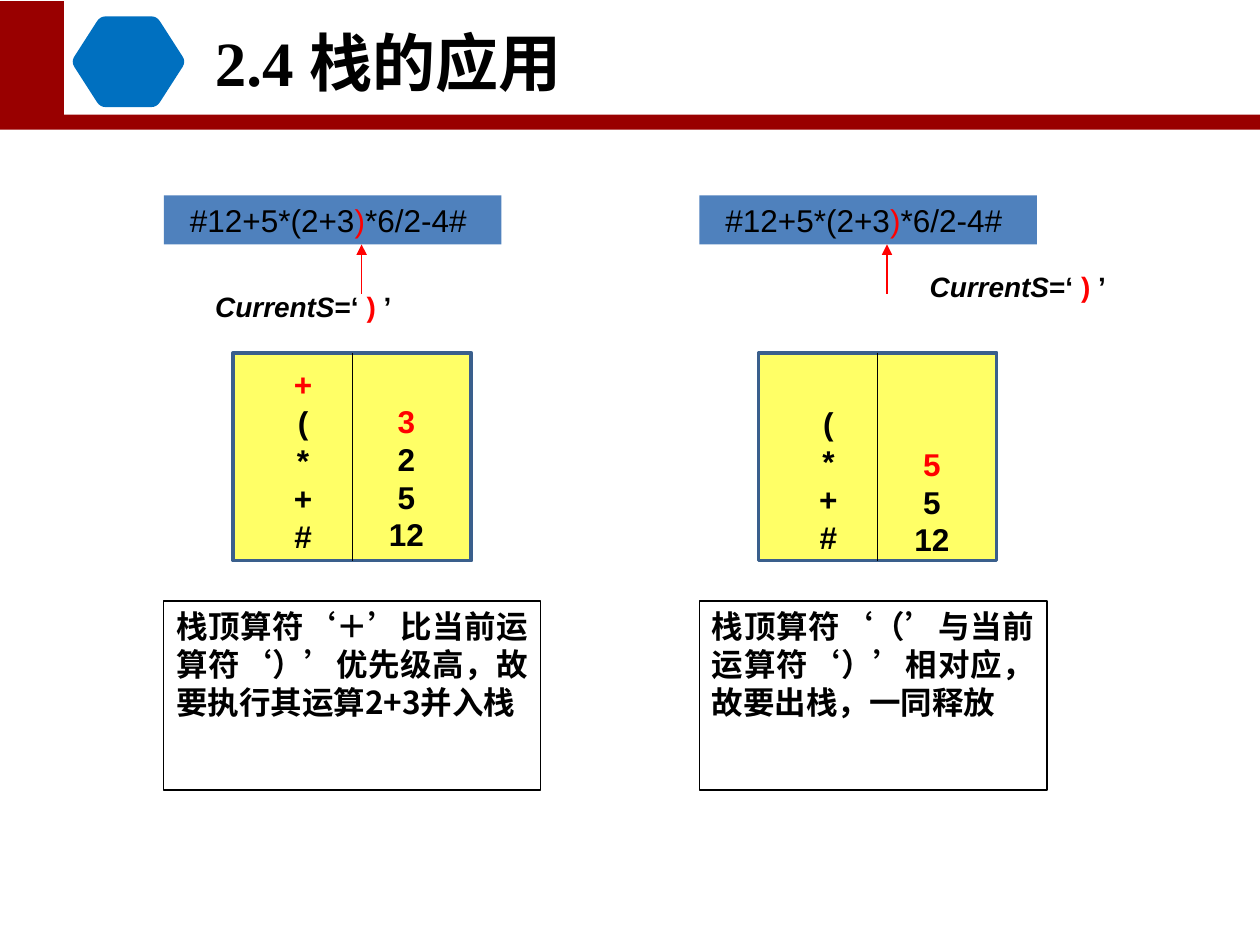
from lxml.etree import SubElement
from pptx import Presentation
from pptx.dml.color import RGBColor
from pptx.enum.shapes import MSO_CONNECTOR, MSO_SHAPE
from pptx.enum.text import MSO_ANCHOR as Anchor, MSO_AUTO_SIZE as AutoSize, PP_ALIGN as Align
from pptx.oxml.ns import qn
from pptx.util import Inches, Pt

COLORS = {"band": "990000", "white": "FFFFFF", "hexagon": "0070C0", "input": "4F81BD",
          "stack": "FFFF66", "frame": "3A5F8C", "ink": "000000", "mark": "FF0000"}
CJK, SERIF, SANS = "Noto Sans CJK SC", "Cambria", "Arial"

# Content: runs are (text, format) pairs
TITLE = [("2.4 ", {"font": "Times New Roman"}), ("栈的应用", {"font": CJK})]
EXPRESSION = [("#12+5*(2+3", {}), (")", {"color": "mark"}), ("*6/2-4# ", {})]
CURRENT = [("CurrentS", {"italic": True}), ("=‘ ", {}), (") ", {"color": "mark"}), ("’", {})]
PANELS = [
    {"left": 1.3, "stack_left": 1.85, "label_at": (1.61, 2.25), "note_width": 2.99,
     "operators": "+ ( * + #", "operators_bottom": 4.45, "marked_operators": 1,
     "operands": "3 2 5 12", "operands_bottom": 4.44,
     "note": [("栈顶算符", {"font": CJK}), ("‘", {"font": SERIF}), ("＋", {"font": CJK}),
              ("’", {"font": SERIF}), ("比当前运算符", {"font": CJK}), ("‘", {"font": SERIF}),
              ("）", {"font": CJK}), ("’", {"font": SERIF}),
              ("优先级高，故要执行其运算2+3并入栈", {"font": CJK})]},
    {"left": 5.55, "stack_left": 6.02, "label_at": (7.28, 2.09), "note_width": 2.76,
     "operators": "( * + #", "operators_bottom": 4.46, "marked_operators": 0,
     "operands": "5 5 12", "operands_bottom": 4.48,
     "note": [("栈顶算符‘（’与当前运算符‘）’相对应，故要出栈，一同释放", {"font": SERIF})]},
]
STACK_TOP, STACK_WIDTH, STACK_HEIGHT = 2.8, 1.89, 1.65
LINE_HEIGHT = 0.3

prs = Presentation()
prs.slide_width, prs.slide_height = Inches(10), Inches(7.5)
slide = prs.slides.add_slide(prs.slide_layouts[5])
shapes = slide.shapes


def rgb(name):
    return RGBColor.from_string(COLORS[name])


def paint(shape, fill, line=None, width=0.75):
    shape.shadow.inherit = False
    shape.fill.solid()
    shape.fill.fore_color.rgb = rgb(fill)
    if line:
        shape.line.color.rgb = rgb(line)
        shape.line.width = Pt(width)
    else:
        shape.line.fill.background()
    return shape


def add_box(left, top, width, height, *look):
    box = shapes.add_shape(MSO_SHAPE.RECTANGLE, *map(Inches, (left, top, width, height)))
    return paint(box, *look)


def add_line(x, start, end, color):
    line = shapes.add_connector(MSO_CONNECTOR.STRAIGHT, *map(Inches, (x, start, x, end)))
    line.line.color.rgb = rgb(color)
    line.line.width = Pt(0.75)
    SubElement(line._element.spPr, qn("a:effectLst"))
    return line


def write(paragraph, runs, size, align, bold=True):
    paragraph.alignment = align
    paragraph.font.size, paragraph.font.bold = Pt(size), bold
    for text, style in runs:
        run = paragraph.add_run()
        run.text = text
        run.font.name = style.get("font", SANS)
        run.font.color.rgb = rgb(style.get("color", "ink"))
        run.font.italic = style.get("italic")
        SubElement(run._r.get_or_add_rPr(), qn("a:ea")).set("typeface", CJK)


def set_frame(shape, anchor, wrap):
    frame = shape.text_frame
    frame.vertical_anchor, frame.word_wrap = anchor, wrap
    return frame


def add_column(left, width, bottom, items, marked):
    """Stack contents, one item a line, resting on the bottom edge."""
    height = LINE_HEIGHT * len(items) + 0.1
    column = shapes.add_textbox(*map(Inches, (left, bottom - height, width, height)))
    frame = set_frame(column, Anchor.BOTTOM, False)
    frame.margin_left = frame.margin_right = 0
    for i, item in enumerate(items):
        paragraph = frame.paragraphs[0] if i == 0 else frame.add_paragraph()
        write(paragraph, [(item, {"color": "mark" if i < marked else "ink"})], 18, Align.CENTER)


def add_hexagon(center_x, center_y):
    """Hexagon with rounded corners: each corner is (start, control, end)."""
    right = [((0.18, -0.36), (0.225, -0.36), (0.25, -0.32)),
             ((0.43, -0.04), (0.455, 0), (0.43, 0.04)),
             ((0.25, 0.32), (0.225, 0.36), (0.18, 0.36))]
    left = [tuple((-x, -y) for x, y in corner) for corner in right]
    points = []
    for start, control, end in right + left:
        for t in (0, 0.25, 0.5, 0.75, 1):
            x, y = ((1 - t) ** 2 * a + 2 * t * (1 - t) * b + t * t * c
                    for a, b, c in zip(start, control, end))
            points.append((Inches(center_x + x), Inches(center_y + y)))
    builder = shapes.build_freeform(*points[0])
    builder.add_line_segments(points[1:], close=True)
    paint(builder.convert_to_shape(), "hexagon")


# Header
add_box(0, 0.01, 10, 1.02, "band")
add_box(0.51, 0, 9.49, 0.91, "white")
add_hexagon(1.02, 0.49)
title = shapes.title
title.left, title.top, title.width, title.height = map(Inches, (-0.5, 0.13, 7.16, 0.71))
title_frame = set_frame(title, Anchor.MIDDLE, True)
title_frame.auto_size = AutoSize.NONE
write(title_frame.paragraphs[0], TITLE, 36, Align.CENTER)
title._element.getparent().append(title._element)  # above the header band

for panel in PANELS:
    left, stack_left = panel["left"], panel["stack_left"]

    # Expression with the arrow to its current symbol
    expression = add_box(left, 1.55, 2.68, 0.39, "input")
    write(set_frame(expression, Anchor.MIDDLE, False).paragraphs[0],
          EXPRESSION, 18, Align.CENTER, bold=False)
    arrow = add_line(stack_left + 1.02, 2.33, 1.94, "mark")
    SubElement(arrow._element.spPr.find(qn("a:ln")), qn("a:tailEnd")).set("type", "triangle")
    label = shapes.add_textbox(*map(Inches, (*panel["label_at"], 1.85, 0.37)))
    label_frame = set_frame(label, Anchor.MIDDLE, False)
    label_frame.auto_size = AutoSize.SHAPE_TO_FIT_TEXT
    write(label_frame.paragraphs[0], CURRENT, 16, Align.LEFT)

    # Operator and operand stacks
    add_box(stack_left, STACK_TOP, STACK_WIDTH, STACK_HEIGHT, "stack", "frame", 2)
    add_line(stack_left + STACK_WIDTH / 2, STACK_TOP, STACK_TOP + STACK_HEIGHT, "ink")
    add_column(stack_left + 0.32, 0.47, panel["operators_bottom"],
               panel["operators"].split(), panel["marked_operators"])
    add_column(stack_left + 1.18, 0.39, panel["operands_bottom"], panel["operands"].split(), 1)

    # Explanation
    note = add_box(left, 4.77, panel["note_width"], 1.5, "white", "ink")
    write(set_frame(note, Anchor.TOP, True).paragraphs[0], panel["note"], 18, Align.JUSTIFY)

prs.save("out.pptx")
